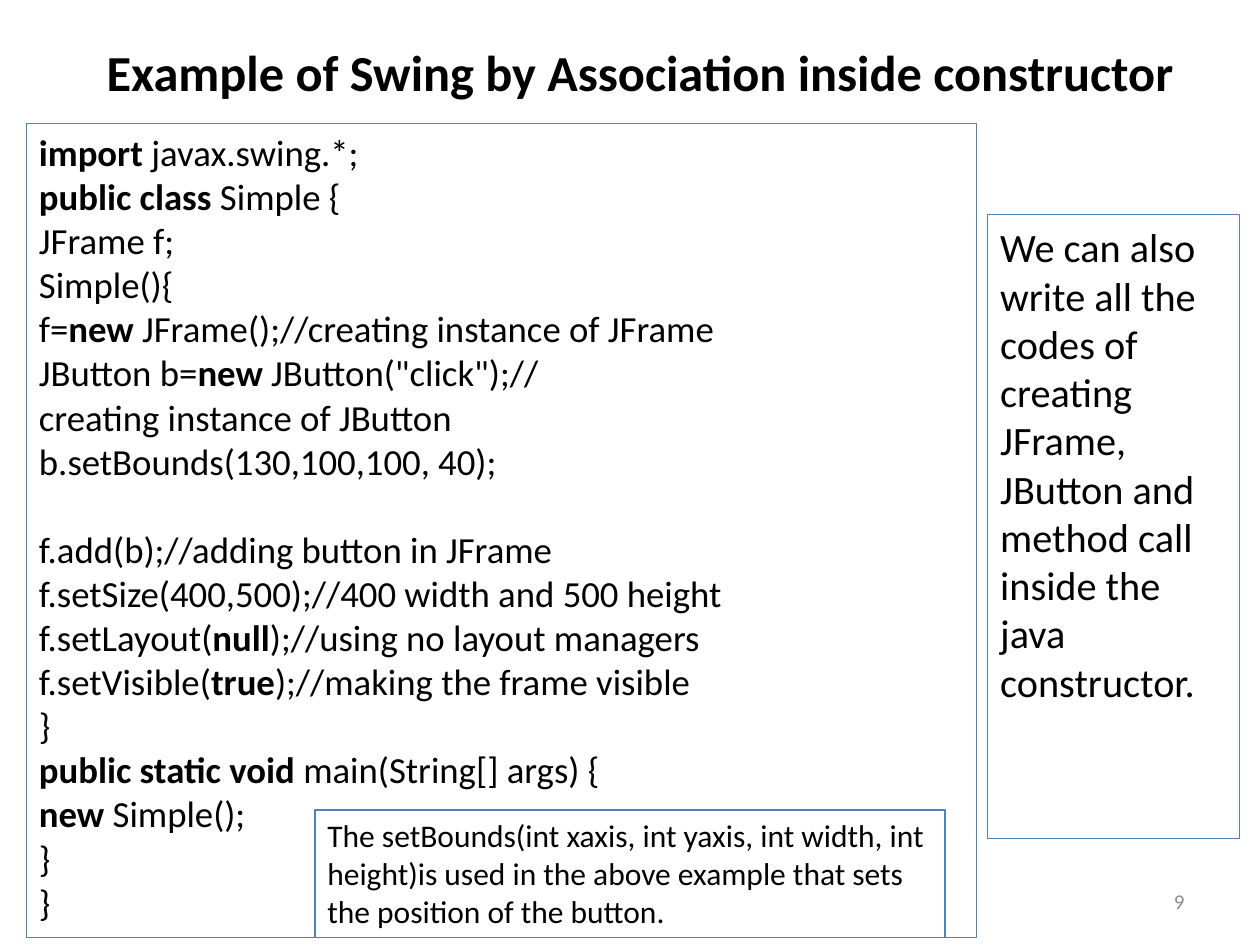
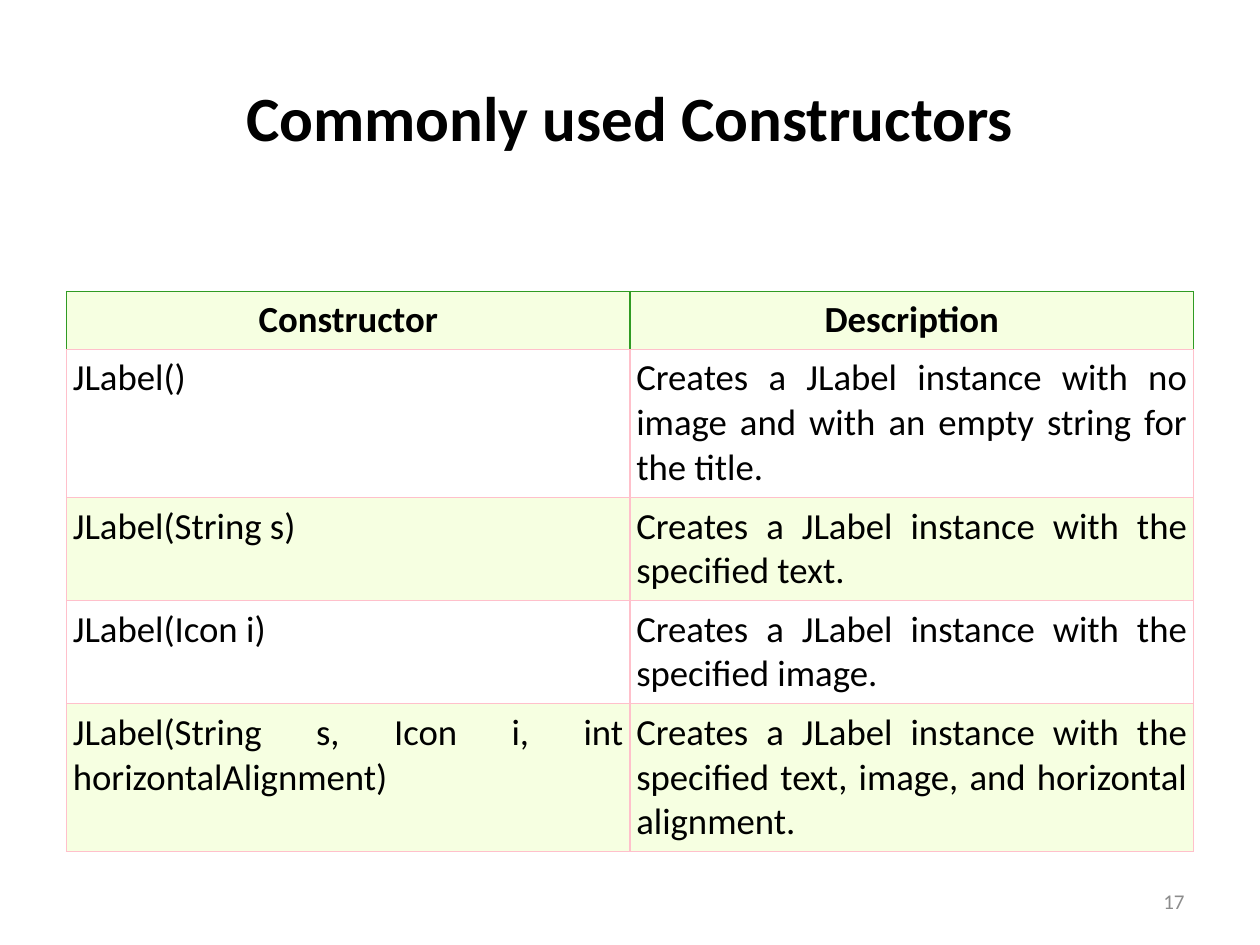
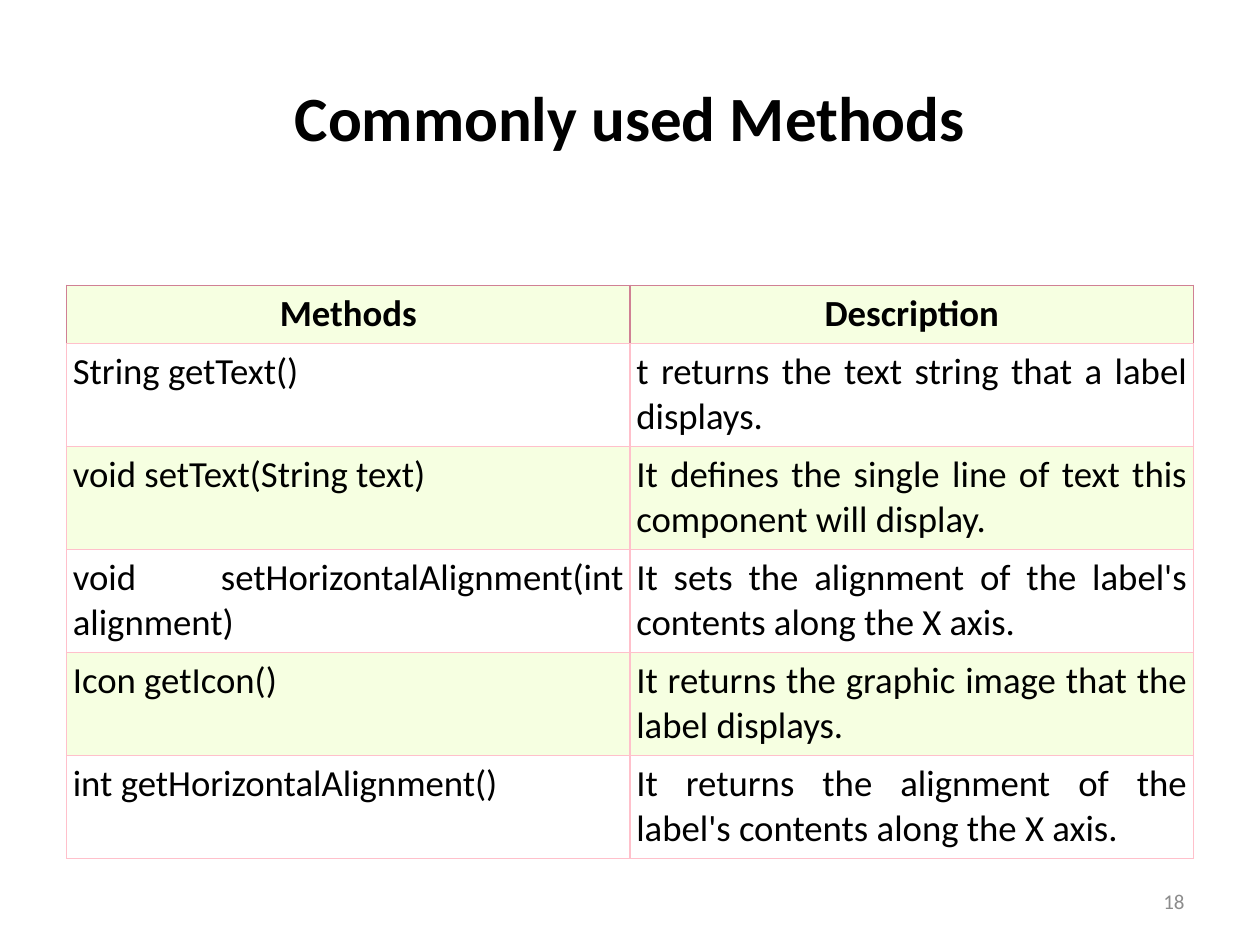
from dataclasses import dataclass
from lxml import etree
from pptx import Presentation
from pptx.dml.color import RGBColor
from pptx.enum.shapes import MSO_SHAPE
from pptx.enum.text import MSO_ANCHOR, PP_ALIGN
from pptx.oxml.ns import qn
from pptx.util import Pt


@dataclass(frozen=True)
class Theme:
    font: str = "Calibri"
    text: str = "000000"
    muted: str = "8C8C8C"
    frame: str = "4F81BD"
    band: str = "F6FFE1"
    plain: str = "FFFFFF"
    grid: str = "FFC0CB"
    green: str = "309B23"
    rose: str = "D08094"
    line: float = 0.75
    title: float = 36
    small_title: float = 28.8
    aside: float = 23
    body: float = 21
    note: float = 18
    number: float = 12


class Deck:
    """Builds slides in one style, holding the current slide."""

    def __init__(self, theme):
        self.theme = theme
        self.prs = Presentation()
        self.prs.slide_width, self.prs.slide_height = Pt(720), Pt(540)

    def new_slide(self, number):
        self.slide = self.prs.slides.add_slide(self.prs.slide_layouts[6])
        self.text(str(number), 516, 500.5, 168, 28.5, self.theme.number,
                  PP_ALIGN.RIGHT, self.theme.muted)

    def run(self, p, text, size, color=None, bold=False):
        r = p.add_run()
        r.text = text
        r.font.name, r.font.size, r.font.bold = self.theme.font, Pt(size), bold
        r.font.color.rgb = RGBColor.from_string(color or self.theme.text)

    def text(self, text, x, y, w, h, size, align, color=None, bold=False):
        tf = self.slide.shapes.add_textbox(Pt(x), Pt(y), Pt(w), Pt(h)).text_frame
        tf.word_wrap = True
        tf.vertical_anchor = MSO_ANCHOR.MIDDLE
        p = tf.paragraphs[0]
        p.alignment = align
        self.run(p, text, size, color, bold)

    def title(self, text, x=36, y=21.6, w=648, h=90, size=None):
        self.text(text, x, y, w, h, size or self.theme.title, PP_ALIGN.CENTER, bold=True)

    def frame(self, x, y, w, h):
        sp = self.slide.shapes.add_shape(MSO_SHAPE.RECTANGLE, Pt(x), Pt(y), Pt(w), Pt(h))
        sp.shadow.inherit = False
        sp.fill.background()
        sp.line.color.rgb = RGBColor.from_string(self.theme.frame)
        sp.line.width = Pt(self.theme.line)
        tf = sp.text_frame
        tf.word_wrap = True
        tf.vertical_anchor = MSO_ANCHOR.TOP
        return tf

    def note(self, text, x, y, w, h, size, top=3.6):
        tf = self.frame(x, y, w, h)
        tf.margin_top = Pt(top)
        p = tf.paragraphs[0]
        p.alignment = PP_ALIGN.LEFT
        self.run(p, text, size)

    def code(self, blocks, x, y, w, h, gap=25.2):
        """Draws code lines; text between asterisk pairs is bold."""
        tf = self.frame(x, y, w, h)
        tf.margin_right = Pt(24)
        p = tf.paragraphs[0]
        for b, block in enumerate(blocks):
            for i, line in enumerate(block):
                if b or i:
                    p = tf.add_paragraph()
                p.alignment = PP_ALIGN.LEFT
                if b and not i:
                    p.space_before = Pt(gap)
                for k, part in enumerate(line.replace(" ", "\u00a0").split("**")):
                    if part:
                        self.run(p, part, self.theme.body, bold=k % 2 == 1)

    def borders(self, cell, colors):
        tcPr = cell._tc.get_or_add_tcPr()
        for i, (side, color) in enumerate(zip(("lnL", "lnR", "lnT", "lnB"), colors)):
            ln = etree.Element(qn("a:" + side), w=str(Pt(self.theme.line)))
            fill = etree.SubElement(ln, qn("a:solidFill"))
            etree.SubElement(fill, qn("a:srgbClr"), val=color)
            tcPr.insert(i, ln)

    def table(self, y, header_line, rows):
        """Draws rows of (line count, left text, right text), header first."""
        t = self.theme
        heights = [7.5 + 25.7 * lines for lines, *_ in rows]
        table = self.slide.shapes.add_table(
            len(rows), 2, Pt(38), Pt(y), Pt(644), Pt(sum(heights))).table
        for col in table.columns:
            col.width = Pt(322)
        for i, (_, *texts) in enumerate(rows):
            table.rows[i].height = Pt(heights[i])
            edge = t.grid if i else header_line
            for j, text in enumerate(texts):
                cell = table.cell(i, j)
                cell.margin_left = cell.margin_right = Pt(3.6)
                cell.margin_top = cell.margin_bottom = Pt(3.6)
                cell.fill.solid()
                cell.fill.fore_color.rgb = RGBColor.from_string(t.plain if i % 2 else t.band)
                self.borders(cell, (edge, edge, edge, t.grid))
                p = cell.text_frame.paragraphs[0]
                p.alignment = PP_ALIGN.JUSTIFY if i else PP_ALIGN.CENTER
                self.run(p, text, t.body, bold=not i)


CODE = [
    [
        "**import **javax.swing.*;",
        "**public class** Simple {",
        "JFrame f;",
        "Simple(){",
        "f=**new **JFrame();//creating instance of JFrame",
        'JButton b=**new **JButton("click");//creating instance of JButton',
        "b.setBounds(130,100,100, 40);",
    ],
    [
        "f.add(b);//adding button in JFrame",
        "f.setSize(400,500);//400 width and 500 height",
        "f.setLayout(**null**);//using no layout managers",
        "f.setVisible(**true**);//making the frame visible",
        "}",
        "**public static void** main(String[] args) {",
        "**new** Simple();",
        "}",
        "}",
    ],
]
CONSTRUCTORS = [
    (1, "Constructor", "Description"),
    (3, "JLabel()",
     "Creates a JLabel instance with no image and with an empty string for the title."),
    (2, "JLabel(String s)", "Creates a JLabel instance with the specified text."),
    (2, "JLabel(Icon i)", "Creates a JLabel instance with the specified image."),
    (3, "JLabel(String s, Icon i, int horizontalAlignment)",
     "Creates a JLabel instance with the specified text, image, and horizontal alignment."),
]
METHODS = [
    (1, "Methods", "Description"),
    (2, "String getText()", "t returns the text string that a label displays."),
    (2, "void setText(String text)",
     "It defines the single line of text this component will display."),
    (2, "void setHorizontalAlignment(int alignment)",
     "It sets the alignment of the label's contents along the X axis."),
    (2, "Icon getIcon()", "It returns the graphic image that the label displays."),
    (2, "int getHorizontalAlignment()",
     "It returns the alignment of the label's contents along the X axis."),
]

theme = Theme()
deck = Deck(theme)

deck.new_slide(9)
deck.title("Example of Swing by Association inside constructor",
           24, 21.6, 684, 38, theme.small_title)
deck.note("We can also write all the codes of creating JFrame, JButton and "
          "method call inside the java constructor.",
          564.5, 122.6, 144, 356.4, theme.aside, 4.6)
deck.code(CODE, 15.2, 70.6, 543, 465)
deck.note("The setBounds(int xaxis, int yaxis, int width, int height)is used in "
          "the above example that sets the position of the button.",
          180, 462.9, 360, 72.7, theme.note)

deck.new_slide(17)
deck.title("Commonly used Constructors")
deck.table(166.6, theme.green, CONSTRUCTORS)

deck.new_slide(18)
deck.title("Commonly used Methods")
deck.table(163, theme.rose, METHODS)

deck.prs.save("out.pptx")
